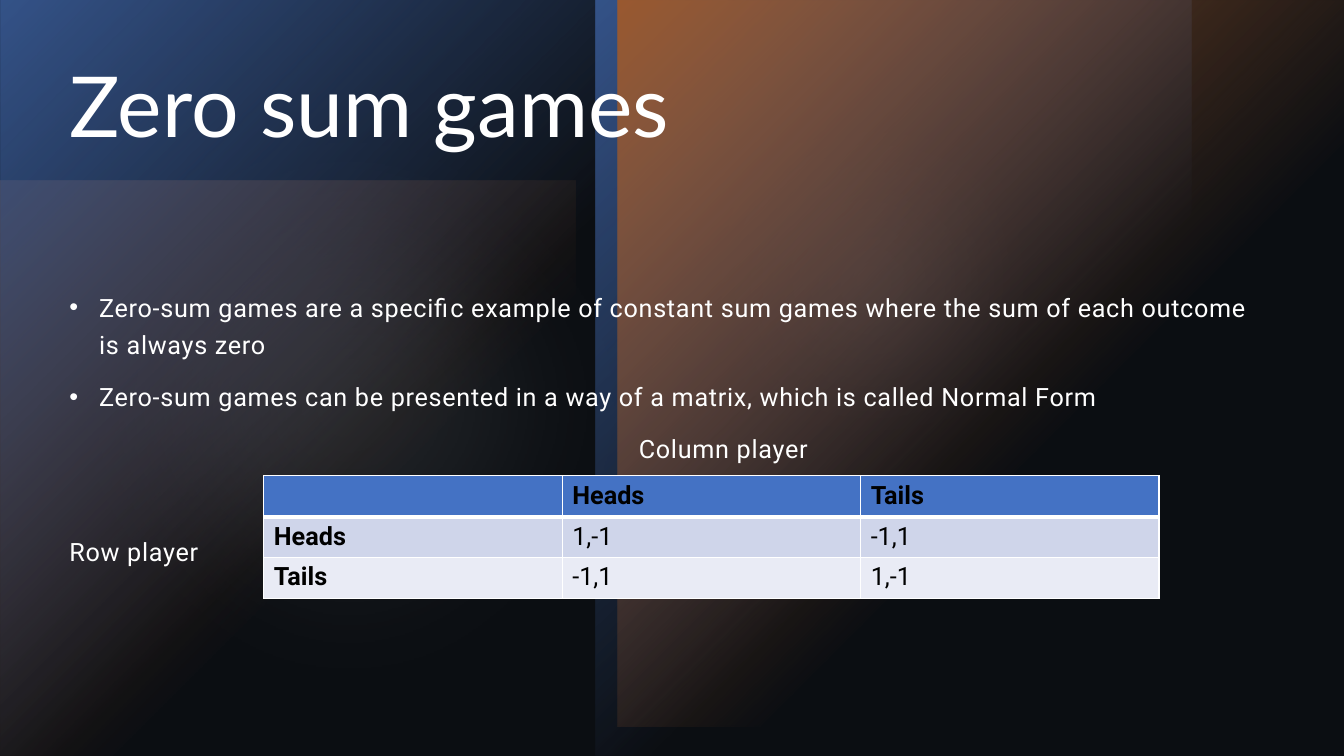
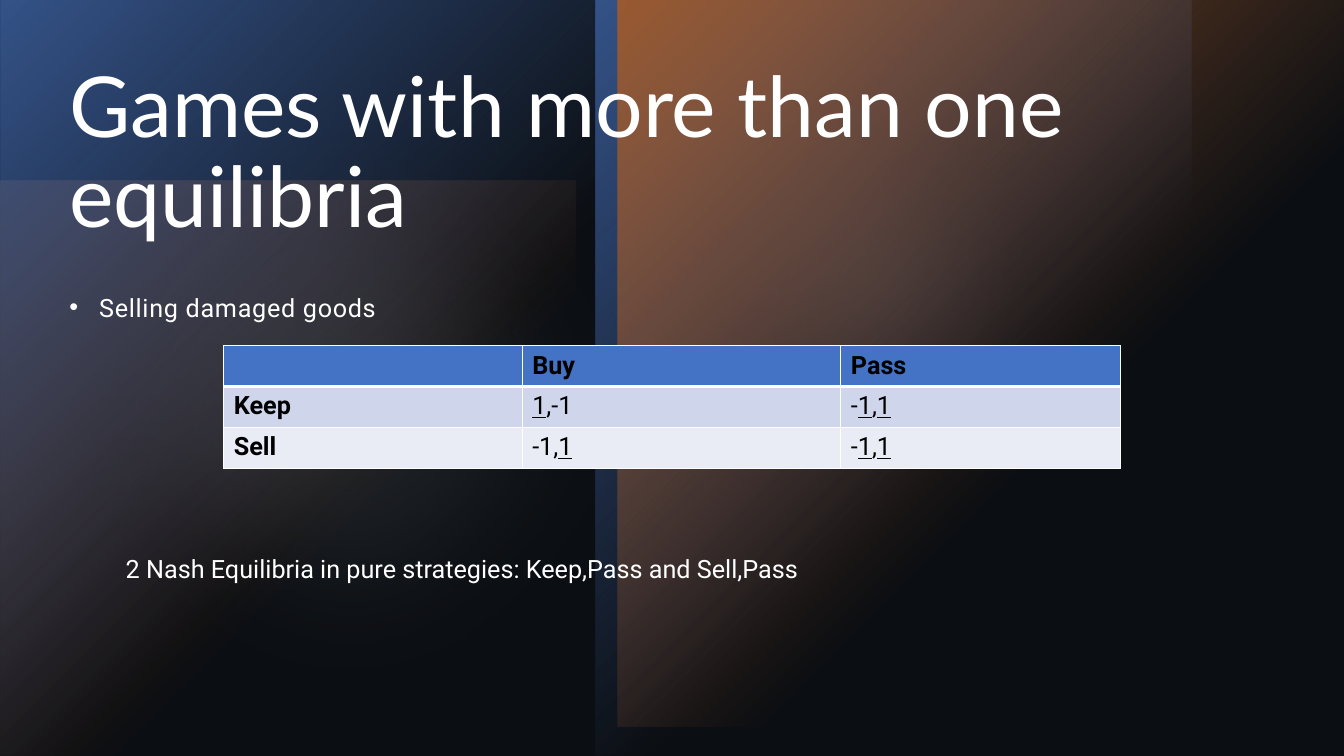
from dataclasses import dataclass
from typing import Any

from lxml import etree
from pptx import Presentation
from pptx.dml.color import RGBColor
from pptx.enum.shapes import MSO_SHAPE
from pptx.enum.text import MSO_ANCHOR
from pptx.oxml import parse_xml
from pptx.oxml.ns import qn
from pptx.util import Cm, Pt

RECT, OVAL = MSO_SHAPE.RECTANGLE, MSO_SHAPE.OVAL
TOP = MSO_ANCHOR.TOP
A_NS = "http://schemas.openxmlformats.org/drawingml/2006/main"
BLANK_LAYOUT = 6


@dataclass(frozen=True)
class Theme:
    background: str = "000000"
    light: str = "FFFFFF"
    dark: str = "000000"
    blue: str = "4472C4"
    orange: str = "ED7D31"
    grey: str = "A3A3A3"
    veil: str = "1D242E"
    row_fills: tuple[str, ...] = ("4472C4", "CFD5EA", "E9EBF5")
    title_font: str = "Lato"
    body_font: str = "Roboto"
    title_size: int = 60
    body_size: int = 18
    tracking: int = 50
    rule: int = 1
    header_rule: int = 3


THEME = Theme()
SLIDE_W, SLIDE_H = 33.87, 19.05
MARGIN, TEXT_W = 1.5, 30.84
ROW_H = 1.03
SOFT_EDGE = 3.53


@dataclass(frozen=True)
class Glow:
    """One translucent layer of the backdrop; lengths in cm, opacity in percent."""
    kind: MSO_SHAPE
    left: float
    top: float
    width: float
    height: float
    color: str
    opacity: int = 100
    fades: bool = False
    soft: bool = False
    turn: int = 0
    flips: str = "v"


@dataclass(frozen=True)
class Line:
    text: str
    bullet: bool = False
    indent: float = 0
    before: float = 10


@dataclass(frozen=True)
class Payoffs:
    """A payoff matrix; text between underscores is underlined."""
    left: float
    top: float
    columns: tuple[float, ...]
    rows: tuple[tuple[str, ...], ...]


@dataclass(frozen=True)
class GameSlide:
    title: str
    body: tuple[Line, ...]
    payoffs: Payoffs
    conclusion: str = ""


BACKDROP = (
    Glow(RECT, 0, 4.55, 14.5, 14.5, THEME.orange, 60, fades=True),
    Glow(OVAL, 15.98, 1.09, 11.99, 11.99, THEME.grey, 60, soft=True),
    Glow(OVAL, 0, 1.42, 17.63, 17.63, THEME.grey, 20, soft=True),
    Glow(RECT, 0, 0, 15.01, SLIDE_H, THEME.blue, fades=True, turn=180),
    Glow(RECT, 15.01, 0, 15.01, SLIDE_H, THEME.blue, fades=True, turn=180, flips="hv"),
    Glow(RECT, 15.56, 0, 18.31, 18.31, THEME.orange, fades=True, turn=180),
    Glow(RECT, 0, 0, SLIDE_W, SLIDE_H, THEME.veil, 40, flips=""),
)

GAMES = (
    GameSlide(
        "Zero sum games",
        (
            Line("Zero-sum games are a specific example of constant sum games "
                 "where the sum of each outcome is always zero", bullet=True),
            Line("Zero-sum games can be presented in a way of a matrix, "
                 "which is called Normal Form", bullet=True),
            Line("Column player", indent=14.35),
            Line("Row player", before=47),
        ),
        Payoffs(6.65, 11.99, (7.52, 7.52, 7.52), (
            ("", "Heads", "Tails"),
            ("Heads", "1,-1", "-1,1"),
            ("Tails", "-1,1", "1,-1"),
        )),
    ),
    GameSlide(
        "Games with more than one equilibria",
        (Line("Selling damaged goods", bullet=True),),
        Payoffs(5.64, 8.71, (7.52, 8.03, 7.04), (
            ("", "Buy", "Pass"),
            ("Keep", "_1_,-1", "-_1_,_1_"),
            ("Sell", "-1,_1_", "-_1_,_1_"),
        )),
        "2 Nash Equilibria in pure strategies: Keep,Pass and Sell,Pass",
    ),
)


def apply_format(target: Any, values: dict[str, Any]) -> None:
    for name, value in values.items():
        setattr(target, name, value)


def add_run(paragraph: Any, text: str, color: str = THEME.light, **font: Any) -> Any:
    run = paragraph.add_run()
    run.text = text
    style = {"name": THEME.body_font, "size": Pt(THEME.body_size)} | font
    apply_format(run.font, style)
    run.font.color.rgb = RGBColor.from_string(color)
    return run


def fill_xml(glow: Glow) -> Any:
    """Fill with opacity, fading out from one corner where the glow asks for it."""
    def tint(opacity: int) -> str:
        return (f'<a:srgbClr val="{glow.color}">'
                f'<a:alpha val="{opacity * 1000}"/></a:srgbClr>')

    if not glow.fades:
        return parse_xml(f'<a:solidFill xmlns:a="{A_NS}">{tint(glow.opacity)}</a:solidFill>')
    return parse_xml(
        f'<a:gradFill xmlns:a="{A_NS}" rotWithShape="1"><a:gsLst>'
        f'<a:gs pos="0">{tint(glow.opacity)}</a:gs>'
        f'<a:gs pos="60000">{tint(0)}</a:gs></a:gsLst>'
        '<a:path path="circle"><a:fillToRect r="100000" b="100000"/></a:path>'
        '</a:gradFill>')


def add_glow(slide: Any, glow: Glow) -> None:
    box = map(Cm, (glow.left, glow.top, glow.width, glow.height))
    shape = slide.shapes.add_shape(glow.kind, *box)
    shape.rotation = glow.turn
    shape.line.fill.background()
    shape.shadow.inherit = False
    shape.fill.background()
    properties = shape.element.spPr
    properties.replace(properties.find(qn("a:noFill")), fill_xml(glow))
    for axis in glow.flips:
        properties.find(qn("a:xfrm")).set(f"flip{axis.upper()}", "1")
    if glow.soft:
        effects = properties.find(qn("a:effectLst"))
        etree.SubElement(effects, qn("a:softEdge"), rad=str(Cm(SOFT_EDGE)))


def add_text_frame(slide: Any, left: float, top: float, width: float,
                   height: float, wrap: bool = True) -> Any:
    frame = slide.shapes.add_textbox(Cm(left), Cm(top), Cm(width), Cm(height)).text_frame
    apply_format(frame, {"word_wrap": wrap, "vertical_anchor": TOP})
    return frame


def add_title(slide: Any, title: str) -> None:
    paragraph = add_text_frame(slide, MARGIN, MARGIN, TEXT_W, 5.03).paragraphs[0]
    paragraph.line_spacing = 0.9
    add_run(paragraph, title, name=THEME.title_font, size=Pt(THEME.title_size))


def add_body(slide: Any, lines: tuple[Line, ...]) -> None:
    frame = add_text_frame(slide, MARGIN, 7.04, TEXT_W, 10.49)
    for index, line in enumerate(lines):
        paragraph = frame.add_paragraph() if index else frame.paragraphs[0]
        apply_format(paragraph, {"line_spacing": 1.25, "space_before": Pt(line.before)})
        run = add_run(paragraph, line.text)
        run.font._element.set("spc", str(THEME.tracking))
        hanging = 0.75 if line.bullet else 0
        properties = paragraph._p.get_or_add_pPr()
        properties.set("marL", str(Cm(line.indent + hanging)))
        properties.set("indent", str(Cm(-hanging)))
        if line.bullet:
            etree.SubElement(properties, qn("a:buFont"), typeface="Arial")
            etree.SubElement(properties, qn("a:buChar"), char="•")


def set_borders(cell: Any, row: int) -> None:
    widths = {side: THEME.rule for side in "LRTB"}
    if row < 2:
        widths["B" if row == 0 else "T"] = THEME.header_rule
    properties = cell._tc.get_or_add_tcPr()
    for position, (side, width) in enumerate(widths.items()):
        properties.insert(position, parse_xml(
            f'<a:ln{side} xmlns:a="{A_NS}" w="{Pt(width)}"><a:solidFill>'
            f'<a:srgbClr val="{THEME.light}"/></a:solidFill></a:ln{side}>'))


def add_payoffs(slide: Any, payoffs: Payoffs) -> None:
    rows, columns = payoffs.rows, payoffs.columns
    table = slide.shapes.add_table(
        len(rows), len(columns), Cm(payoffs.left), Cm(payoffs.top),
        Cm(sum(columns)), Cm(ROW_H * len(rows))).table
    apply_format(table, {"first_row": False, "horz_banding": False})
    for column, width in zip(table.columns, columns):
        column.width = Cm(width)
    for r, texts in enumerate(rows):
        table.rows[r].height = Cm(ROW_H)
        for c, text in enumerate(texts):
            cell = table.cell(r, c)
            cell.fill.solid()
            cell.fill.fore_color.rgb = RGBColor.from_string(THEME.row_fills[r])
            set_borders(cell, r)
            paragraph = cell.text_frame.paragraphs[0]
            paragraph.font.size = Pt(THEME.body_size)
            for part, piece in enumerate(text.split("_")):
                if piece:
                    add_run(paragraph, piece, THEME.dark,
                            bold=r == 0 or c == 0, underline=part % 2 == 1)


def add_game(deck: Any, game: GameSlide) -> None:
    slide = deck.slides.add_slide(deck.slide_layouts[BLANK_LAYOUT])
    slide.background.fill.solid()
    slide.background.fill.fore_color.rgb = RGBColor.from_string(THEME.background)
    for glow in BACKDROP:
        add_glow(slide, glow)
    add_title(slide, game.title)
    add_body(slide, game.body)
    add_payoffs(slide, game.payoffs)
    if game.conclusion:
        frame = add_text_frame(slide, 2.92, 13.82, 17.88, 1.02, wrap=False)
        add_run(frame.paragraphs[0], game.conclusion)


def main() -> None:
    deck = Presentation()
    apply_format(deck, {"slide_width": Cm(SLIDE_W), "slide_height": Cm(SLIDE_H)})
    for game in GAMES:
        add_game(deck, game)
    deck.save("out.pptx")


if __name__ == "__main__":
    main()
